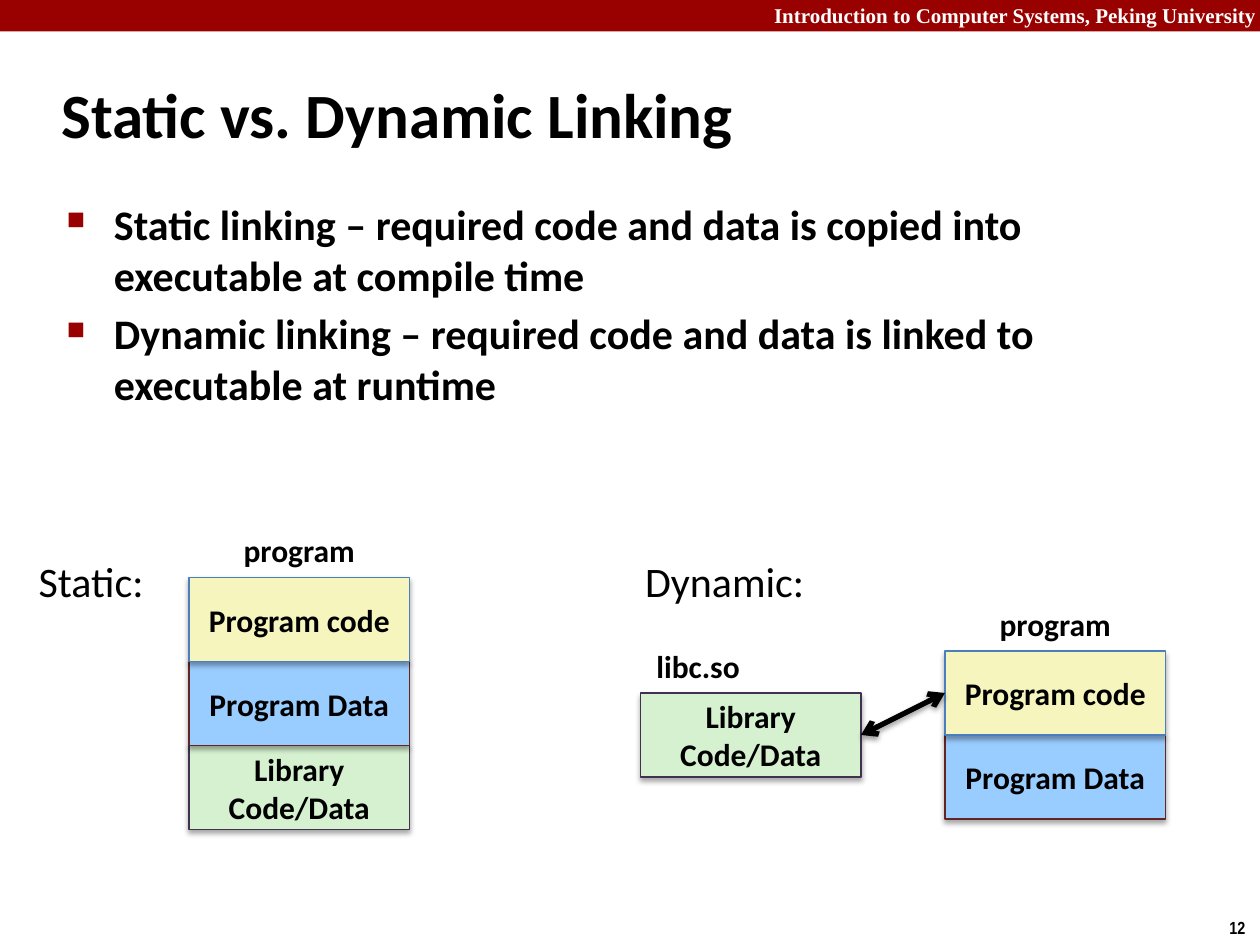
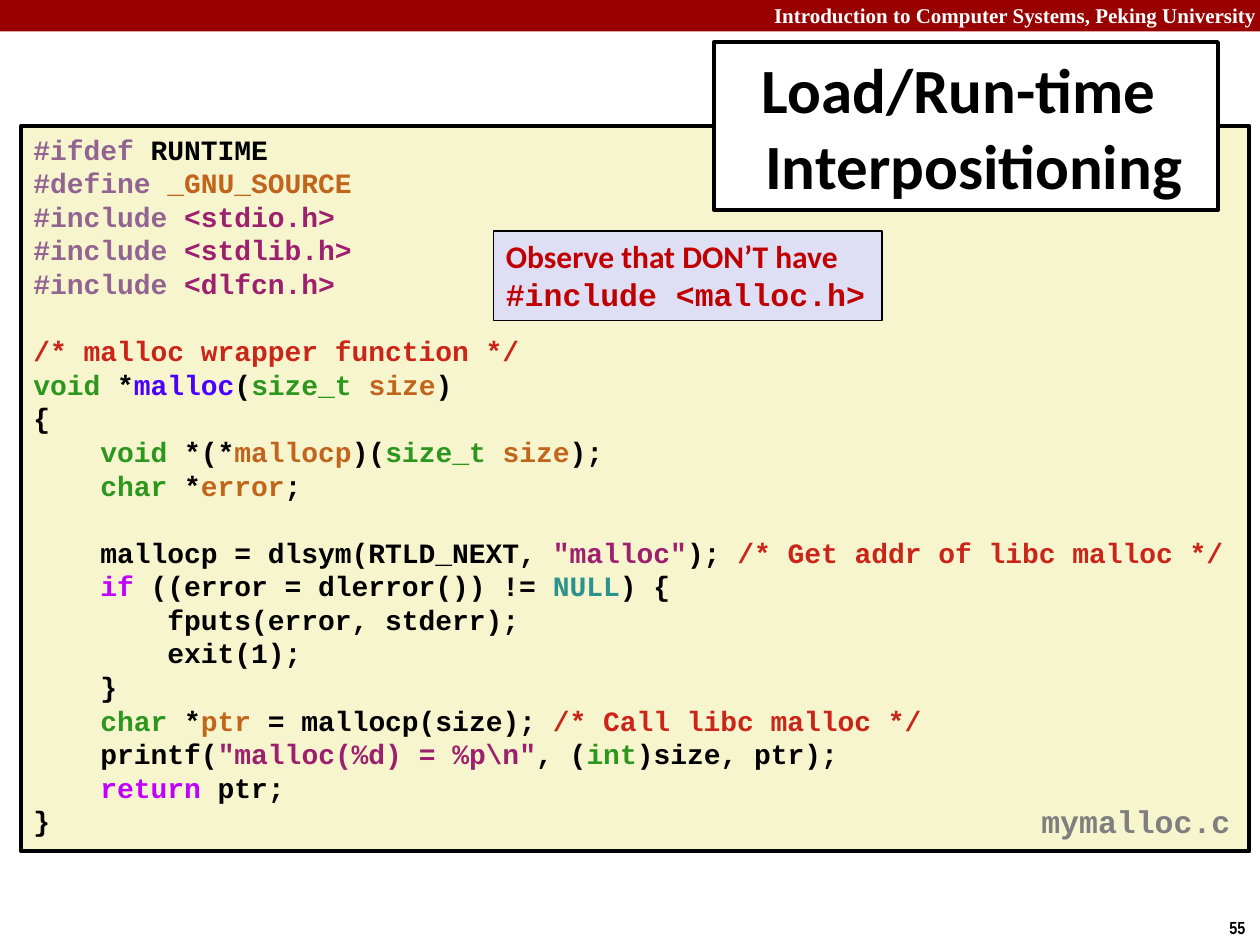
from lxml.etree import SubElement
from pptx import Presentation
from pptx.dml.color import RGBColor
from pptx.enum.shapes import MSO_CONNECTOR, MSO_SHAPE
from pptx.enum.text import MSO_ANCHOR, PP_ALIGN
from pptx.oxml.ns import qn
from pptx.util import Pt

COLORS = {
    "black": "000000", "white": "FFFFFF", "band": "990000", "grey": "7F7F7F",
    "library": "D5F1CF", "library_line": "403152",
    "data": "99CCFF", "data_line": "632523",
    "code": "F6F5BD", "code_line": "4B7EBC",
    "listing": "F7F5CD", "callout": "DEDFF5", "warning": "C00000",
}
# Syntax colours, chosen in the listing by @ and a letter
SYNTAX = {
    "k": "000000", "p": "926492", "v": "C1651C", "s": "9D206F", "c": "CB2418",
    "t": "2D961E", "f": "4A00FF", "w": "C200FF", "n": "2C9290",
}
BLOCKS = {"code": "Program code", "data": "Program Data", "library": "Library Code/Data"}
BLOCK_W, BLOCK_H = 126, 48
LINE_H = 19.2

LISTING = r'''@p#ifdef@k RUNTIME
@p#define @v_GNU_SOURCE
@p#include @s<stdio.h>
@p#include @s<stdlib.h>
@p#include @s<dlfcn.h>

@c/* malloc wrapper function */
@tvoid@k *@fmalloc@k(@tsize_t @vsize@k)
@k{
@k    @tvoid@k *(*@vmallocp@k)(@tsize_t @vsize@k);
@k    @tchar@k *@verror@k;

@k    mallocp = dlsym(RTLD_NEXT, @s"malloc"@k); @c/* Get addr of libc malloc */
@k    @wif@k ((error = dlerror()) != @nNULL@k) {
@k        fputs(error, stderr);
@k        exit(1);
@k    }
@k    @tchar@k *@vptr@k = mallocp(size); @c/* Call libc malloc */
@k    printf(@s"malloc(%d) = %p\n"@k, (@tint@k)size, ptr);
@k    @wreturn @kptr;
@k}'''


class Deck:
    def __init__(self):
        self.prs = Presentation()
        self.prs.slide_width, self.prs.slide_height = Pt(720), Pt(540)
        self.s = None

    def slide(self, number):
        self.s = self.prs.slides.add_slide(self.prs.slide_layouts[6])
        self.box(0, 0, 720, 18, "band")
        self.text(432, -2, 293, 22, "Introduction to Computer Systems, Peking University",
                  size=12, font="Times New Roman", color="white", align=PP_ALIGN.RIGHT)
        self.text(695.5, 520.5, 24.5, 19.5, number, size=10, font="Arial Narrow", wrap=False)

    def style(self, p, size=18, font="Calibri", color="black", bold=True, align=PP_ALIGN.LEFT):
        p.alignment = align
        p.font.name, p.font.size, p.font.bold = font, Pt(size), bold
        if color:
            p.font.color.rgb = RGBColor.from_string(COLORS[color])

    def frame(self, sp, wrap=True, anchor=MSO_ANCHOR.TOP):
        tf = sp.text_frame
        tf.word_wrap, tf.vertical_anchor = wrap, anchor
        return tf

    def text(self, x, y, w, h, text, wrap=True, **style):
        tf = self.frame(self.s.shapes.add_textbox(Pt(x), Pt(y), Pt(w), Pt(h)), wrap)
        tf.text = text
        self.style(tf.paragraphs[0], **style)
        return tf

    def box(self, x, y, w, h, fill, line=None, width=0.75):
        sp = self.s.shapes.add_shape(MSO_SHAPE.RECTANGLE, Pt(x), Pt(y), Pt(w), Pt(h))
        sp.shadow.inherit = False
        sp.fill.solid()
        sp.fill.fore_color.rgb = RGBColor.from_string(COLORS[fill])
        if line:
            sp.line.color.rgb = RGBColor.from_string(COLORS[line])
            sp.line.width = Pt(width)
        else:
            sp.line.fill.background()
        return sp

    def shade(self, sp, alpha):
        pr = sp._element.spPr
        effects = pr.find(qn("a:effectLst"))
        if effects is None:
            effects = SubElement(pr, qn("a:effectLst"))
        shadow = SubElement(effects, qn("a:outerShdw"), blurRad=str(Pt(3.1)),
                            dist=str(Pt(1.8)), dir="5400000", rotWithShape="0")
        color = SubElement(shadow, qn("a:srgbClr"), val=COLORS["black"])
        SubElement(color, qn("a:alpha"), val=str(alpha * 1000))

    def title(self, tf, text, align=PP_ALIGN.LEFT):
        tf.vertical_anchor = MSO_ANCHOR.MIDDLE
        p = tf.paragraphs[0]
        p.text = text
        self.indent(p, 9)
        self.style(p, size=36, align=align)

    def indent(self, p, points):
        pr = p._p.get_or_add_pPr()
        pr.set("marL", str(Pt(points)))
        pr.set("indent", str(-Pt(points)))
        return pr

    def bullets(self, x, y, w, h, items):
        tf = self.frame(self.s.shapes.add_textbox(Pt(x), Pt(y), Pt(w), Pt(h)))
        for i, item in enumerate(items):
            p = tf.add_paragraph() if i else tf.paragraphs[0]
            p.text = item
            if i:
                p.space_before = Pt(4.8)
            pr = self.indent(p, 27)
            color = SubElement(pr, qn("a:buClr"))
            SubElement(color, qn("a:srgbClr"), val=COLORS["band"])
            SubElement(pr, qn("a:buSzPct"), val="60000")
            SubElement(pr, qn("a:buChar"), char="■")
            self.style(p, size=24)

    def block(self, x, y, kind):
        sp = self.box(x, y, BLOCK_W, BLOCK_H, kind, kind + "_line")
        self.shade(sp, 35)
        tf = self.frame(sp, anchor=MSO_ANCHOR.MIDDLE)
        tf.text = BLOCKS[kind]
        self.style(tf.paragraphs[0], align=PP_ALIGN.CENTER)

    def program(self, x, y, kinds):
        # Lower blocks first, so each shadow falls on the block below
        for i, kind in reversed(list(enumerate(kinds))):
            self.block(x, y + i * BLOCK_H, kind)
        self.text(x, y - 30, BLOCK_W, 29, "program", align=PP_ALIGN.CENTER)

    def arrow(self, x1, y1, x2, y2):
        c = self.s.shapes.add_connector(MSO_CONNECTOR.STRAIGHT, Pt(x1), Pt(y1), Pt(x2), Pt(y2))
        c.line.color.rgb = RGBColor.from_string(COLORS["black"])
        c.line.width = Pt(3)
        ln = c.line._get_or_add_ln()
        for end in ("a:headEnd", "a:tailEnd"):
            SubElement(ln, qn(end), type="arrow")
        self.shade(c, 38)

    def listing(self, x, y, w, h, source):
        tf = self.frame(self.box(x, y, w, h, "listing", "black", 2.25))
        p, gap = tf.paragraphs[0], False
        for line in source.split("\n"):
            if not line:
                gap = True
                continue
            if p.runs:
                p = tf.add_paragraph()
            p.line_spacing = Pt(LINE_H)
            if gap:
                p.space_before = Pt(LINE_H)
                gap = False
            self.style(p, size=16, font="Courier New", color=None)
            for part in line.split("@")[1:]:
                r = p.add_run()
                r.text = part[1:]
                r.font.color.rgb = RGBColor.from_string(SYNTAX[part[0]])


def linking(d):
    d.slide("12")
    d.title(d.text(28, 34.5, 598, 60, ""), "Static vs. Dynamic Linking")
    d.bullets(31, 110, 622, 389, [
        "Static linking – required code and data is copied into executable at compile time",
        "Dynamic linking – required code and data is linked to executable at runtime",
    ])

    # Static: one program holds everything
    d.text(15, 314, 76, 36, "Static:", wrap=False, size=24, bold=False)
    d.program(108, 330, ["code", "data", "library"])

    # Dynamic: the library stays outside the program
    d.text(361.5, 314, 107, 36, "Dynamic:", wrap=False, size=24, bold=False)
    d.text(368, 366, 63, 29, "libc.so", wrap=False)
    d.block(366, 396, "library")
    d.program(540, 372, ["code", "data"])
    d.arrow(540, 396, 366 + BLOCK_W, 420)


def interpositioning(d):
    d.slide("55")
    d.listing(12, 72, 702, 414.5, LISTING)
    heading = d.box(408, 24, 288, 96, "white", "black", 2.25)
    d.title(d.frame(heading), "Load/Run-time \vInterpositioning", PP_ALIGN.CENTER)
    d.text(588, 454.5, 124, 29, "mymalloc.c", wrap=False, font="Courier New", color="grey")

    # Callout on the missing header
    tf = d.frame(d.box(282, 132, 222, 51, "callout", "black"), wrap=False)
    tf.text = "Observe that DON’T have\n#include <malloc.h>"
    for p, font in zip(tf.paragraphs, ("Calibri", "Courier New")):
        d.style(p, font=font, color="warning")


def main():
    d = Deck()
    linking(d)
    interpositioning(d)
    d.prs.save("out.pptx")


if __name__ == "__main__":
    main()
